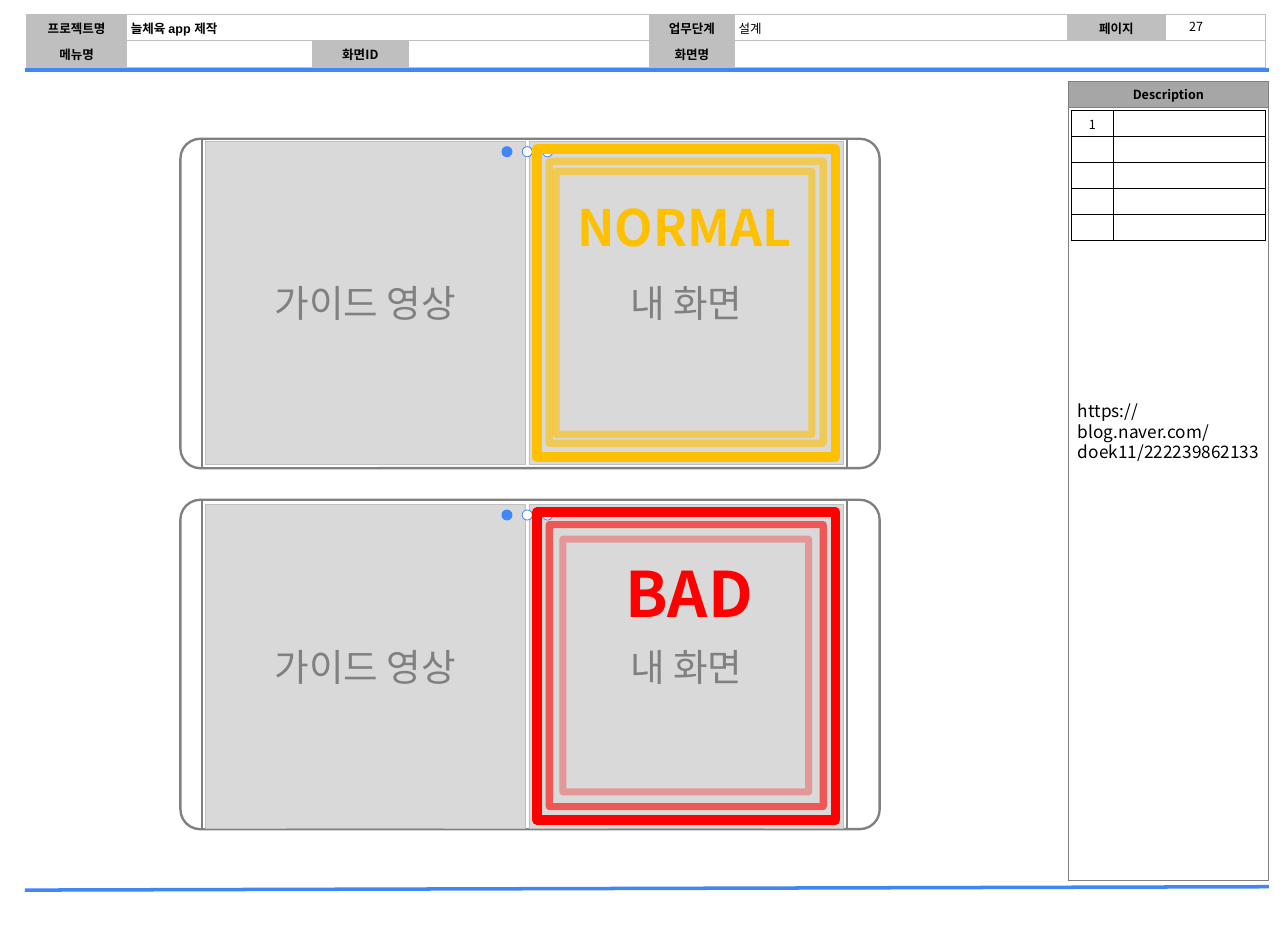
from lxml.etree import SubElement
from pptx import Presentation
from pptx.dml.color import RGBColor
from pptx.enum.shapes import MSO_CONNECTOR, MSO_SHAPE
from pptx.enum.text import MSO_ANCHOR, PP_ALIGN
from pptx.oxml.ns import qn
from pptx.util import Pt

PX = 9144  # 100 px to the inch
BLACK = RGBColor(0x00, 0x00, 0x00)
WHITE = RGBColor(0xFF, 0xFF, 0xFF)
BLUE = RGBColor(0x41, 0x86, 0xF7)
GREY = RGBColor(0x80, 0x80, 0x80)
HEADING = RGBColor(0xA6, 0xA6, 0xA6)
LABEL = RGBColor(0xBF, 0xBF, 0xBF)
PANEL = RGBColor(0xD9, 0xD9, 0xD9)
AMBER = RGBColor(0xFF, 0xC0, 0x00)
RED = RGBColor(0xFF, 0x00, 0x00)
NOTO = "Noto Sans CJK KR"
MARGINS = ("margin_left", "margin_top", "margin_right", "margin_bottom")


class Storyboard:
    def __init__(self, width, height):
        self.deck = Presentation()
        self.deck.slide_width = width * PX
        self.deck.slide_height = height * PX
        self.page = self.deck.slides.add_slide(self.deck.slide_layouts[6])
        self.shapes = self.page.shapes

    def add_span(self, frame, text, size=8, color=BLACK, bold=False, font=NOTO,
                 align=PP_ALIGN.LEFT):
        para = frame.paragraphs[0]
        para.alignment = align
        span = para.add_run()
        span.text = text
        span.font.color.rgb = color
        formats = {"size": Pt(size), "bold": bold, "name": font}
        for name, value in formats.items():
            setattr(span.font, name, value)
        SubElement(span.font._element, qn("a:ea"), typeface=NOTO)

    def text(self, at, text, margins=(10, 5, 10, 5), **style):
        frame = self.shapes.add_textbox(*(n * PX for n in at)).text_frame
        frame.word_wrap = True
        for name, value in zip(MARGINS, margins):
            setattr(frame, name, value * PX)
        self.add_span(frame, text, **style)

    def shape(self, kind, at, line, weight, fill=None, opacity=100):
        """Add an outlined preset shape; opacity in percent acts on its line."""
        box = self.shapes.add_shape(kind, *(n * PX for n in at))
        box.shadow.inherit = False
        if fill is None:
            box.fill.background()
        else:
            box.fill.solid()
            box.fill.fore_color.rgb = fill
        box.line.color.rgb = line
        box.line.width = Pt(weight)
        if opacity < 100:
            color = box.line._ln.find(".//" + qn("a:srgbClr"))
            SubElement(color, qn("a:alpha"), val=str(opacity * 1000))
        return box

    def panel(self, at, text):
        box = self.shape(MSO_SHAPE.RECTANGLE, at, LABEL, 0.5, PANEL)
        box.text_frame.vertical_anchor = MSO_ANCHOR.MIDDLE
        self.add_span(box.text_frame, text, size=24, color=GREY, font="Arial",
                      align=PP_ALIGN.CENTER)

    def line(self, start, end, color, weight):
        rule = self.shapes.add_connector(
            MSO_CONNECTOR.STRAIGHT, *(n * PX for n in start + end))
        rule.line.color.rgb = color
        rule.line.width = Pt(weight)
        SubElement(rule._element.spPr, qn("a:effectLst"))

    def table(self, left, top, columns, rows, border, weight, fill=None):
        grid = self.shapes.add_table(
            len(rows), len(columns), left * PX, top * PX,
            sum(columns) * PX, sum(rows) * PX).table
        grid.first_row = grid.horz_banding = False
        for column, width in zip(grid.columns, columns):
            column.width = width * PX
        for row, height in zip(grid.rows, rows):
            row.height = height * PX
        for cell in grid.iter_cells():
            self.cell(cell, border, weight, fill)
        return grid

    def cell(self, cell, border, weight, fill):
        cell.vertical_anchor = MSO_ANCHOR.MIDDLE
        for name, value in zip(MARGINS, (4, 3, 4, 3)):
            setattr(cell, name, value * PX)
        self.fill_cell(cell, fill)
        properties = cell._tc.get_or_add_tcPr()
        for index, side in enumerate(("lnL", "lnR", "lnT", "lnB")):
            edge = SubElement(properties, qn("a:" + side), w=str(Pt(weight)))
            solid = SubElement(edge, qn("a:solidFill"))
            SubElement(solid, qn("a:srgbClr"), val=str(border))
            properties.insert(index, edge)
        SubElement(cell.text_frame.paragraphs[0]._p, qn("a:endParaRPr"), sz="800")

    def fill_cell(self, cell, fill):
        if fill is None:
            cell.fill.background()
        else:
            cell.fill.solid()
            cell.fill.fore_color.rgb = fill


def add_header(board):
    board.line((22, 789), (1125, 786), BLUE, 2.25)
    grid = board.table(24, 13, (88, 165, 85, 214, 75, 296, 86, 89), (23, 24),
                       LABEL, 1)
    grid.cell(0, 1).merge(grid.cell(0, 3))
    grid.cell(1, 5).merge(grid.cell(1, 7))
    labels = {(0, 0): "프로젝트명", (0, 4): "업무단계", (0, 6): "페이지",
              (1, 0): "메뉴명", (1, 2): "화면ID", (1, 4): "화면명"}
    for place, label in labels.items():
        cell = grid.cell(*place)
        board.fill_cell(cell, LABEL)
        board.add_span(cell.text_frame, label, bold=True, align=PP_ALIGN.CENTER)
    board.add_span(grid.cell(0, 1).text_frame, "늘체육 app 제작", bold=True,
                   font="Arial")
    board.add_span(grid.cell(0, 5).text_frame, "설계")
    board.text((1039, 13, 43, 21), "27", (7, 4, 7, 4), align=PP_ALIGN.CENTER)
    board.line((22, 62), (1125, 62), BLUE, 2.25)


def add_device(board, top):
    body = board.shape(MSO_SHAPE.ROUNDED_RECTANGLE, (160, top, 620, 292), GREY, 1.5)
    body.adjustments[0] = 0.06
    for x in (179, 751):
        board.line((x, top + 292), (x, top), GREY, 1.5)


def add_screen(board, top, color, inner, opacity, verdict, verdict_at, size):
    """Add both video panels, the page dots and the nested verdict frames."""
    board.panel((469, top, 279, 287), "내 화면")
    board.panel((182, top, 284, 287), "가이드 영상")
    for index, fill in enumerate((BLUE, WHITE, WHITE)):
        board.shape(MSO_SHAPE.OVAL, (445 + 18 * index, top + 5, 9, 9),
                    BLUE, 0.5, fill)
    frames = (((476, top + 7, 265, 273), 6, 100),
              ((487, top + 18, 243, 250), 4.5, 60),
              (inner, 4.5, opacity))
    for at, weight, strength in frames:
        board.shape(MSO_SHAPE.RECTANGLE, at, color, weight, opacity=strength)
    board.text(verdict_at, verdict, size=size, color=color, bold=True,
               align=PP_ALIGN.CENTER)


def add_description(board):
    board.text((946, 350, 196, 40), "https://blog.naver.com/doek11/222239862133",
               size=11)
    notes = board.table(950, 98, (37, 135), [23] * 5, BLACK, 0.25, WHITE)
    board.add_span(notes.cell(0, 0).text_frame, "1", align=PP_ALIGN.CENTER)


def main():
    board = Storyboard(1142, 827)
    add_header(board)
    sidebar = board.table(947, 72, (178,), (23, 685), GREY, 0.5, WHITE)
    heading = sidebar.cell(0, 0)
    board.fill_cell(heading, HEADING)
    board.add_span(heading.text_frame, "Description", bold=True,
                   align=PP_ALIGN.CENTER)
    for top in (123, 443):
        add_device(board, top)
    add_screen(board, 125, AMBER, (493, 152, 227, 233), 60,
               "NORMAL", (492, 169, 230, 64), 32)
    add_screen(board, 447, RED, (499, 478, 218, 224), 30,
               "BAD", (496, 487, 230, 77), 40)
    add_description(board)
    board.deck.save("out.pptx")


if __name__ == "__main__":
    main()
